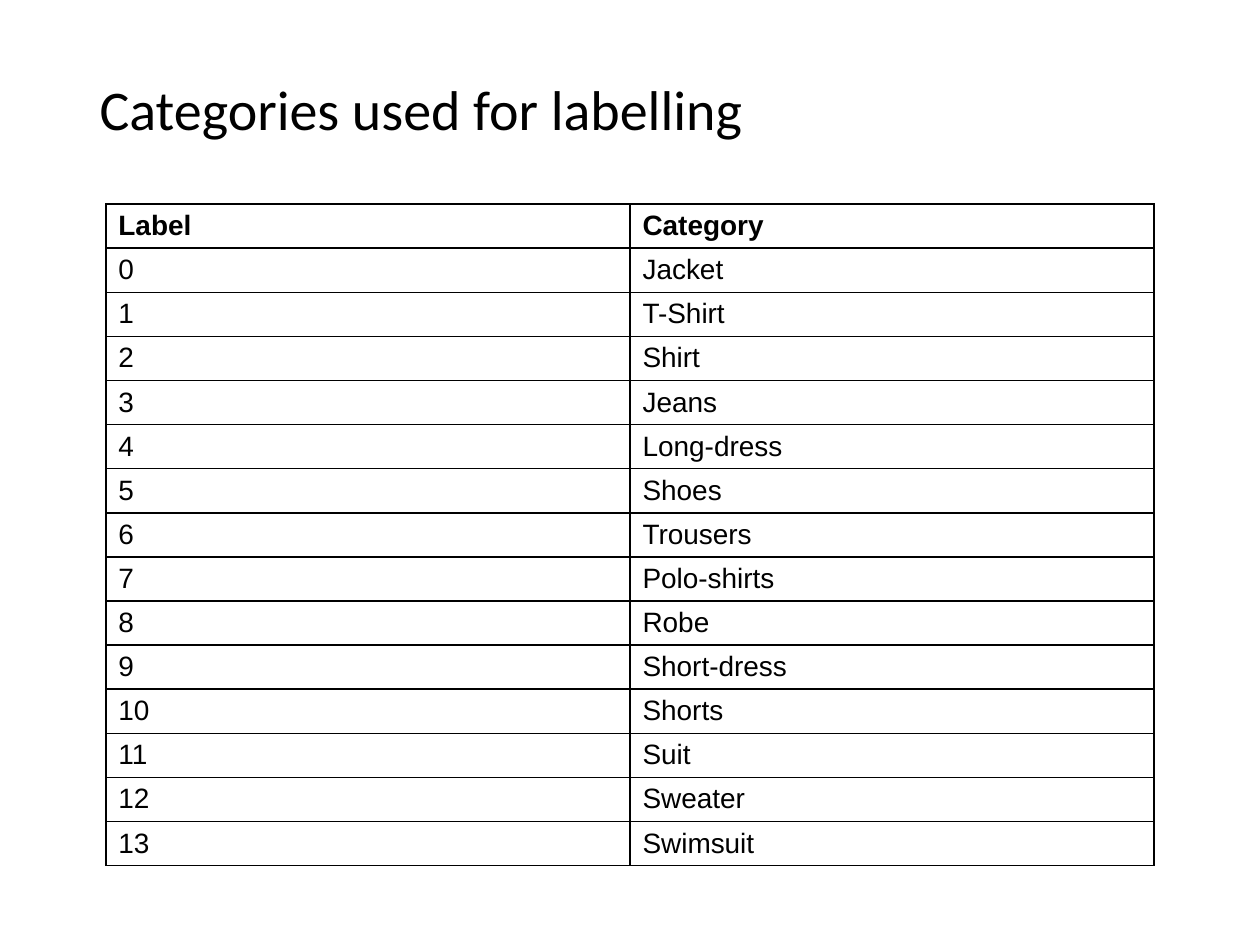
from lxml import etree
from pptx import Presentation
from pptx.dml.color import RGBColor
from pptx.enum.text import MSO_ANCHOR, PP_ALIGN
from pptx.oxml.ns import qn
from pptx.util import Inches, Pt

MIDDLE = MSO_ANCHOR.MIDDLE
TOP = MSO_ANCHOR.TOP
LEFT = PP_ALIGN.LEFT

TITLE = "Categories used for labelling"
HEAD = ("Label", "Category")
NAMES = [
    "Jacket", "T-Shirt", "Shirt", "Jeans", "Long-dress", "Shoes", "Trousers",
    "Polo-shirts", "Robe", "Short-dress", "Shorts", "Suit", "Sweater", "Swimsuit",
]
COLORS = {"ink": "000000", "paper": "FFFFFF"}
COL_W = 4.16
ROW_H = 0.35


def write(frame, text, size, face, bold=False, space=1.0):
    para = frame.paragraphs[0]
    para.alignment = LEFT
    para.line_spacing = space
    run = para.add_run()
    run.text = text
    font = run.font
    font.size = Pt(size)
    font.name = face
    font.bold = bold
    font.color.rgb = RGBColor.from_string(COLORS["ink"])


def border(cell):
    props = cell._tc.get_or_add_tcPr()
    for side in ("lnL", "lnR", "lnT", "lnB"):
        line = etree.SubElement(props, qn(f"a:{side}"), w=str(Pt(1)))
        fill = etree.SubElement(line, qn("a:solidFill"))
        etree.SubElement(fill, qn("a:srgbClr"), val=COLORS["ink"])


def main():
    deck = Presentation()
    deck.slide_width, deck.slide_height = Inches(10), Inches(7.5)
    slide = deck.slides.add_slide(deck.slide_layouts[5])
    back = slide.background.fill
    back.solid()
    back.fore_color.rgb = RGBColor.from_string(COLORS["paper"])

    title = slide.shapes.title
    title.left, title.top = Inches(0.69), Inches(0.17)
    title.width, title.height = Inches(8.62), Inches(1.45)
    title.text_frame.vertical_anchor = MIDDLE
    write(title.text_frame, TITLE, 32, "Calibri", space=0.9)

    rows = [HEAD] + [(str(i), name) for i, name in enumerate(NAMES)]
    table = slide.shapes.add_table(
        len(rows), len(HEAD), Inches(0.84), Inches(1.62),
        Inches(COL_W * len(HEAD)), Inches(ROW_H * len(rows)),
    ).table
    table.first_row = table.horz_banding = False
    for col in table.columns:
        col.width = Inches(COL_W)
    for r, row in enumerate(rows):
        table.rows[r].height = Inches(ROW_H)
        for c, text in enumerate(row):
            cell = table.cell(r, c)
            border(cell)
            cell.fill.background()
            cell.vertical_anchor = TOP
            write(cell.text_frame, text, 16, "Arial", bold=r == 0)

    deck.save("out.pptx")


if __name__ == "__main__":
    main()
